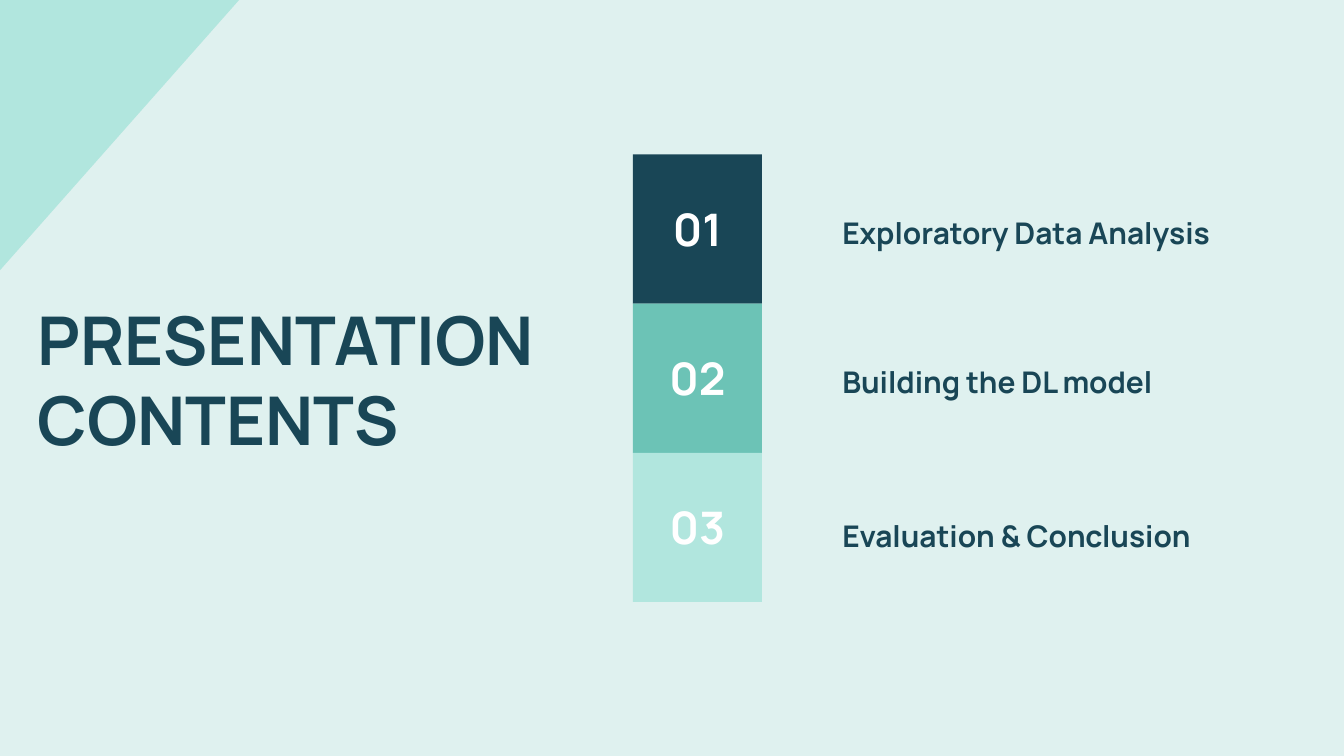
from pptx import Presentation
from pptx.dml.color import RGBColor
from pptx.enum import shapes, text
from pptx.util import Cm, Pt

FONT = "Manrope"
NAVY, TEAL, MINT, PALE, WHITE = "194656", "6CC3B6", "B1E6DE", "DFF1EF", "FFFFFF"
TILE_LEFT, TILE_TOP, TILE_W, TILE_H = 11.96, 2.92, 2.44, 2.82
ROWS = [
    ("Exploratory Data Analysis", NAVY, 3.81),
    ("Building the DL model", TEAL, 6.63),
    ("Evaluation & Conclusion", MINT, 9.53),
]


def paint(fill, color):
    fill.solid()
    fill.fore_color.rgb = RGBColor.from_string(color)


def style_shape(sp, color):
    sp.shadow.inherit = False
    paint(sp.fill, color)
    sp.line.fill.background()


def add_corner(s, width, height, color):
    fb = s.shapes.build_freeform(0, 0)
    fb.add_line_segments([(0, Cm(height)), (Cm(width), 0)], close=True)
    style_shape(fb.convert_to_shape(), color)


def add_tile(s, left, top, width, height, color):
    sp = s.shapes.add_shape(shapes.MSO_SHAPE.RECTANGLE,
                            Cm(left), Cm(top), Cm(width), Cm(height))
    style_shape(sp, color)


def add_text(s, content, left, top, width, height, size=16, color=NAVY,
             align=text.PP_ALIGN.LEFT, anchor=text.MSO_ANCHOR.MIDDLE,
             side=0.25, after=0):
    tf = s.shapes.add_textbox(Cm(left), Cm(top), Cm(width), Cm(height)).text_frame
    tf.word_wrap = True
    tf.vertical_anchor = anchor
    tf.margin_left = tf.margin_right = Cm(side)
    tf.margin_top = tf.margin_bottom = Cm(0.25)
    p = tf.paragraphs[0]
    p.alignment = align
    p.space_after = Pt(after)
    r = p.add_run()
    r.text = content
    r.font.name = FONT
    r.font.size = Pt(size)
    r.font.bold = True
    r.font.color.rgb = RGBColor.from_string(color)


def main():
    prs = Presentation()
    prs.slide_width, prs.slide_height = Cm(25.4), Cm(14.29)
    s = prs.slides.add_slide(prs.slide_layouts[6])
    paint(s.background.fill, PALE)

    add_corner(s, 4.52, 5.11, MINT)
    add_text(s, "PRESENTATION CONTENTS", 0.46, 4.6, 10.24, 5.11, size=36)

    for i, (label, color, label_top) in enumerate(ROWS):
        top = TILE_TOP + i * TILE_H
        add_tile(s, TILE_LEFT, top, TILE_W, TILE_H, color)
        add_text(s, f"{i + 1:02}", TILE_LEFT, top + 0.51, TILE_W, 1.78, size=24,
                 color=WHITE, align=text.PP_ALIGN.CENTER, side=0)
        add_text(s, label, 15.67, label_top, 7.75, 1.02,
                 anchor=text.MSO_ANCHOR.TOP, after=8)

    prs.save("out.pptx")


if __name__ == "__main__":
    main()
